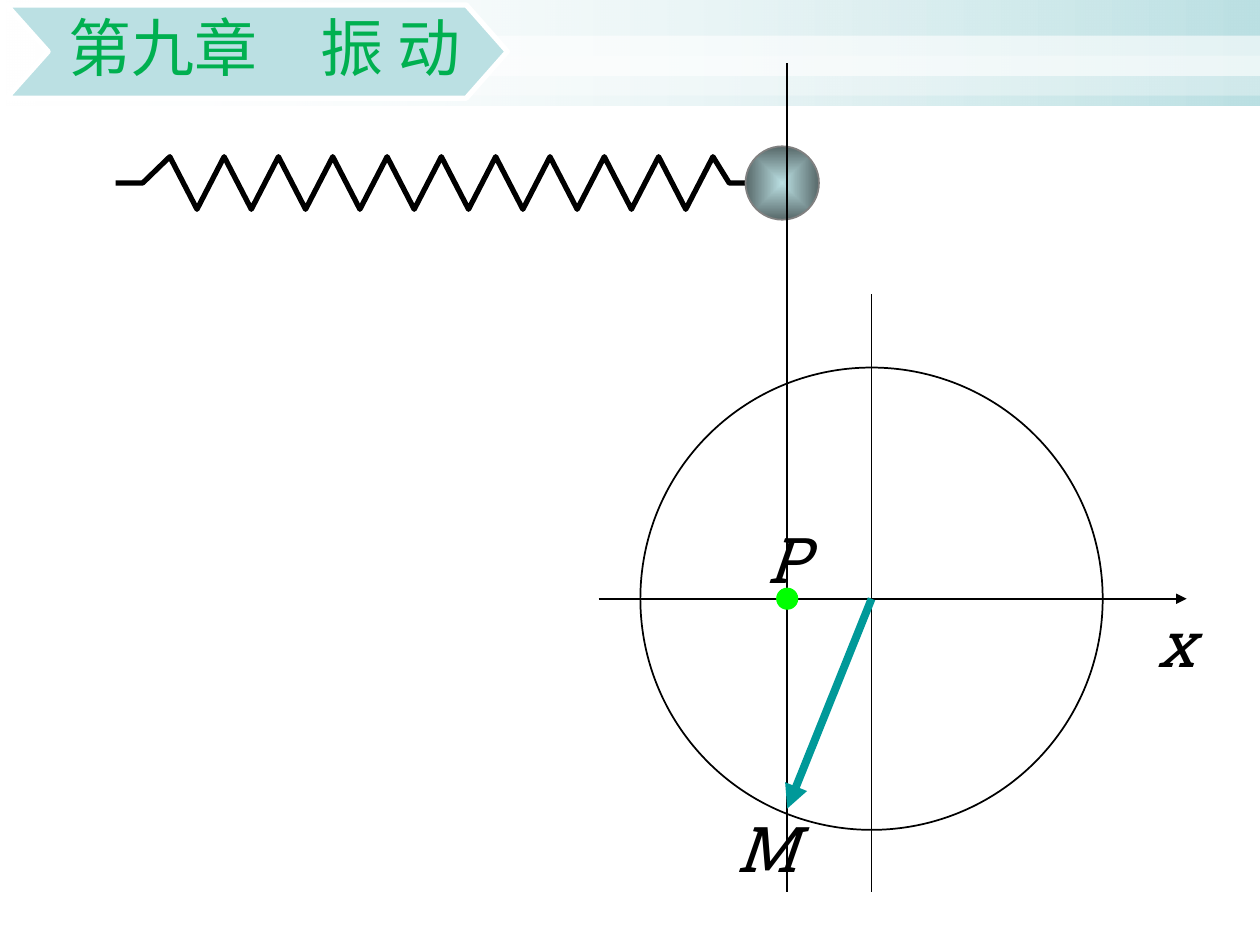
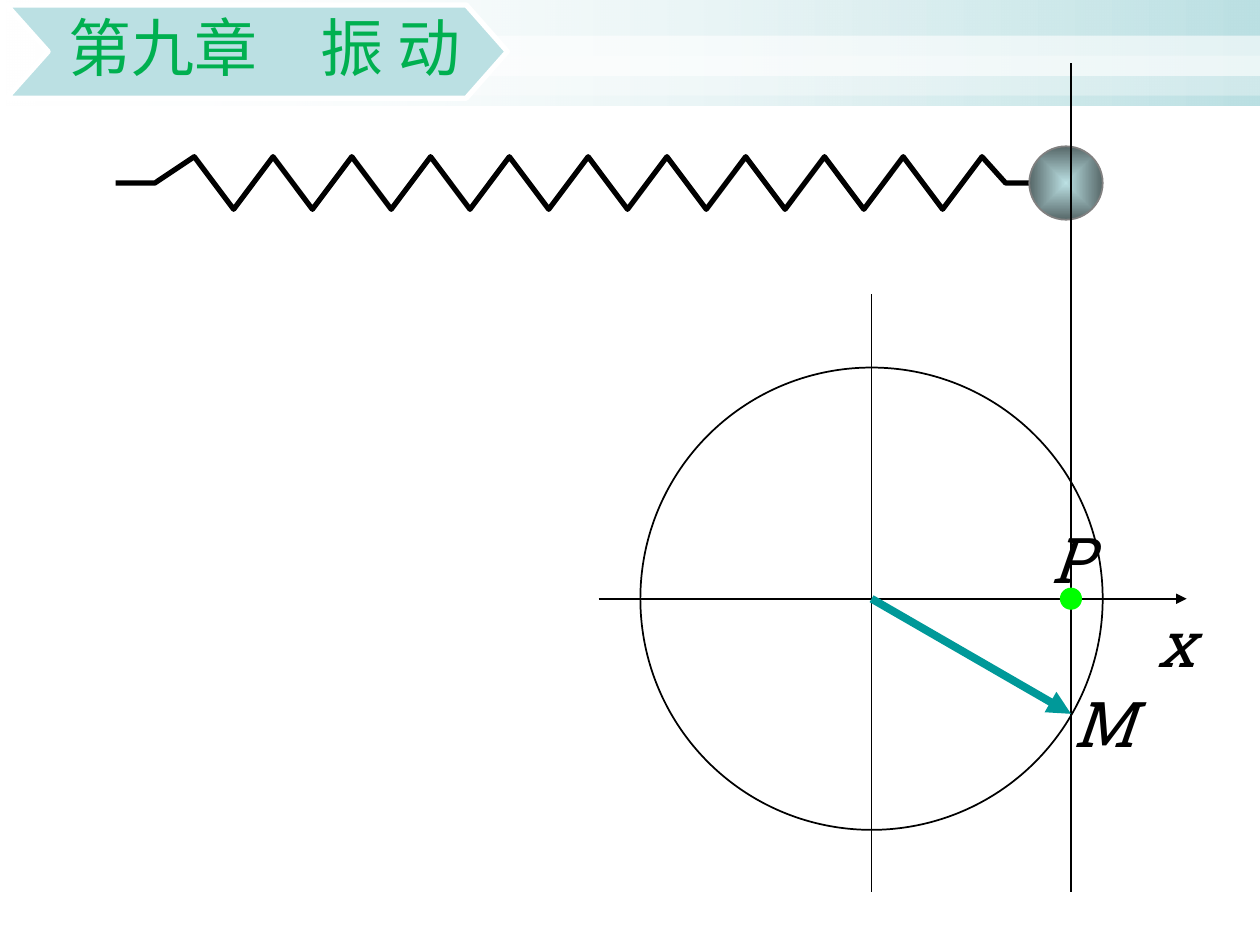
import pptx
import pptx.util
import pptx.dml.color
import pptx.enum.shapes
import pptx.enum.text
import pptx.oxml
import pptx.oxml.ns

Cm = pptx.util.Cm
SHAPE = pptx.enum.shapes.MSO_SHAPE
ALIGN = pptx.enum.text.PP_ALIGN
ANCHOR = pptx.enum.text.MSO_ANCHOR
NS = pptx.oxml.ns.nsdecls("a")

WHITE, BLACK, PALE, TEAL = "FFFFFF", "000000", "BBE0E3", "009999"
GREEN, LIME, GREY, SHADE = "00B050", "00FF00", "808080", "576869"

WIDTH, HEIGHT = 25.4, 19.05
CENTER_X, CENTER_Y, RADIUS = 17.57, 12.07, 4.66
AXIS_BOTTOM = 17.99
SPRING_LEFT, SPRING_Y, SPRING_AMPLITUDE = 2.33, 3.69, 0.53
BALL_SIZE, DOT_SIZE = 1.48, 0.42
BALL_TO_GUIDE = 0.84  # from the left edge of the ball to the vertical guide


def rgb(color):
    return pptx.dml.color.RGBColor.from_string(color)


def set_line(shape, color, line_width):
    if color is None:
        shape.line.fill.background()
    else:
        shape.line.color.rgb = rgb(color)
        shape.line.width = pptx.util.Pt(line_width)


def style(shape, fill=None, alpha=100, line=None, line_width=1):
    shape.shadow.inherit = False
    if fill is None:
        shape.fill.background()
    else:
        shape.fill.solid()
        shape.fill.fore_color.rgb = rgb(fill)
        if alpha < 100:
            clr = shape._element.spPr.find(".//" + pptx.oxml.ns.qn("a:srgbClr"))
            clr.append(pptx.oxml.parse_xml(f'<a:alpha {NS} val="{alpha * 1000}"/>'))
    set_line(shape, line, line_width)
    return shape


def set_gradient(shape, first, last, first_alpha=100, from_center=False):
    """Replace the empty fill by a left-to-right gradient, or one out of the center."""
    if from_center:
        direction = ('<a:path path="rect"><a:fillToRect l="50000" t="50000" '
                     'r="50000" b="50000"/></a:path>')
    else:
        direction = '<a:lin ang="0" scaled="1"/>'
    grad = pptx.oxml.parse_xml(
        f'<a:gradFill {NS} rotWithShape="1"><a:gsLst>'
        f'<a:gs pos="0"><a:srgbClr val="{first}">'
        f'<a:alpha val="{first_alpha * 1000}"/></a:srgbClr></a:gs>'
        f'<a:gs pos="100000"><a:srgbClr val="{last}"/></a:gs>'
        f'</a:gsLst>{direction}</a:gradFill>')
    sp_pr = shape._element.spPr
    sp_pr.replace(sp_pr.find(pptx.oxml.ns.qn("a:noFill")), grad)


def add_shape(shapes, kind, left, top, width, height, **look):
    sp = shapes.add_shape(kind, Cm(left), Cm(top), Cm(width), Cm(height))
    return style(sp, **look)


def add_circle(shapes, x, y, diameter, **look):
    """Add a circle around the point x, y."""
    r = diameter / 2
    return add_shape(shapes, SHAPE.OVAL, x - r, y - r, diameter, diameter, **look)


def add_outline(shapes, points, close, **look):
    emu = [(Cm(x), Cm(y)) for x, y in points]
    builder = shapes.build_freeform(*emu[0])
    builder.add_line_segments(emu[1:], close=close)
    return style(builder.convert_to_shape(), **look)


def add_line(shapes, start, end, color=BLACK, line_width=1, arrow=False):
    line = shapes.add_connector(pptx.enum.shapes.MSO_CONNECTOR.STRAIGHT,
                                *(Cm(v) for v in (*start, *end)))
    set_line(line, color, line_width)
    if arrow:
        line._element.spPr.find(pptx.oxml.ns.qn("a:ln")).append(
            pptx.oxml.parse_xml(f'<a:tailEnd {NS} type="triangle"/>'))
    line._element.spPr.append(pptx.oxml.parse_xml(f"<a:effectLst {NS}/>"))


def write(tf, text, font, color, size=36, italic=False, align=ALIGN.LEFT,
          line_spacing=None, space_after=None):
    p = tf.paragraphs[0]
    p.alignment = align
    if line_spacing:
        p.line_spacing = line_spacing
    if space_after:
        p.space_after = pptx.util.Pt(space_after)
    r = p.add_run()
    r.text = text
    r.font.name = font
    r.font.size = pptx.util.Pt(size)
    r.font.italic = italic
    r.font.color.rgb = rgb(color)


def add_label(shapes, text, left, top, width):
    tf = shapes.add_textbox(Cm(left), Cm(top), Cm(width), Cm(1.78)).text_frame
    tf.word_wrap = False
    tf.auto_size = pptx.enum.text.MSO_AUTO_SIZE.SHAPE_TO_FIT_TEXT
    write(tf, text, "Roboto Slab", BLACK, italic=True)


def add_header_bands(shapes):
    band = add_shape(shapes, SHAPE.RECTANGLE, 0, 0, WIDTH, 2.13)
    set_gradient(band, WHITE, PALE, first_alpha=0)
    for top, alpha in ((0.72, 60), (1.12, 31)):
        add_shape(shapes, SHAPE.RECTANGLE, 0, top, WIDTH, 0.81,
                  fill=WHITE, alpha=alpha)


def add_chapter_title(shapes, text):
    left, shoulder, tip, notch = 0.13, 9.4, 10.23, 0.97
    top, middle, bottom = 0.1, 1.04, 1.98
    sp = add_outline(shapes, [(left, top), (shoulder, top), (tip, middle),
                              (shoulder, bottom), (left, bottom), (notch, middle)],
                     close=True, fill=PALE, line=WHITE, line_width=3)
    tf = sp.text_frame
    tf.word_wrap = True
    tf.vertical_anchor = ANCHOR.MIDDLE
    tf.margin_left, tf.margin_right = Cm(1.07), Cm(0.94)
    tf.margin_top = tf.margin_bottom = Cm(0.08)
    write(tf, text, "Calibri", GREEN, align=ALIGN.RIGHT,
          line_spacing=0.9, space_after=15.8)


def add_spring(shapes, right):
    """Add a zigzag whose last two segments are 0.6 steps long each."""
    step = (right - SPRING_LEFT) / 23.2
    points = [(SPRING_LEFT, SPRING_Y), (SPRING_LEFT + step, SPRING_Y)]
    for i in range(2, 23):
        side = -1 if i % 2 == 0 else 1
        points.append((SPRING_LEFT + i * step, SPRING_Y + side * SPRING_AMPLITUDE))
    points += [(right - 0.6 * step, SPRING_Y), (right, SPRING_Y)]
    add_outline(shapes, points, close=False, line=BLACK, line_width=3)


def add_ball_with_guide(shapes, guide_x):
    group = shapes.add_group_shape().shapes
    ball_x = guide_x - BALL_TO_GUIDE + BALL_SIZE / 2
    ball = add_circle(group, ball_x, SPRING_Y, BALL_SIZE, line=GREY)
    set_gradient(ball, PALE, SHADE, from_center=True)
    add_line(group, (guide_x, 1.27), (guide_x, AXIS_BOTTOM))


def add_reference_circle(shapes):
    group = shapes.add_group_shape().shapes
    add_circle(group, CENTER_X, CENTER_Y, 2 * RADIUS, line=BLACK)
    add_line(group, (12.07, CENTER_Y), (23.92, CENTER_Y), arrow=True)
    add_line(group, (CENTER_X, 5.93), (CENTER_X, AXIS_BOTTOM))
    add_label(group, "x", 23.09, CENTER_Y, 1.2)


def add_vibration_slide(prs, tip, m_label):
    """Add a slide where the rotating vector ends at tip, M standing at m_label."""
    shapes = prs.slides.add_slide(prs.slide_layouts[6]).shapes
    x = tip[0]
    add_header_bands(shapes)
    add_spring(shapes, x - BALL_TO_GUIDE)
    add_ball_with_guide(shapes, x)
    add_reference_circle(shapes)
    add_line(shapes, (CENTER_X, CENTER_Y), tip, TEAL, 4.5, arrow=True)
    add_label(shapes, "M", *m_label, 1.6)
    add_label(shapes, "P", x - 0.64, 10.36, 1.27)
    add_circle(shapes, x, CENTER_Y, DOT_SIZE, fill=LIME, line=LIME, line_width=0.75)
    add_chapter_title(shapes, "第九章　振 动")


def main():
    prs = pptx.Presentation()
    prs.slide_width, prs.slide_height = Cm(WIDTH), Cm(HEIGHT)
    add_vibration_slide(prs, tip=(15.87, 16.3), m_label=(14.6, 16.2))
    add_vibration_slide(prs, tip=(21.59, 14.39), m_label=(21.39, 13.67))
    prs.save("out.pptx")


if __name__ == "__main__":
    main()
